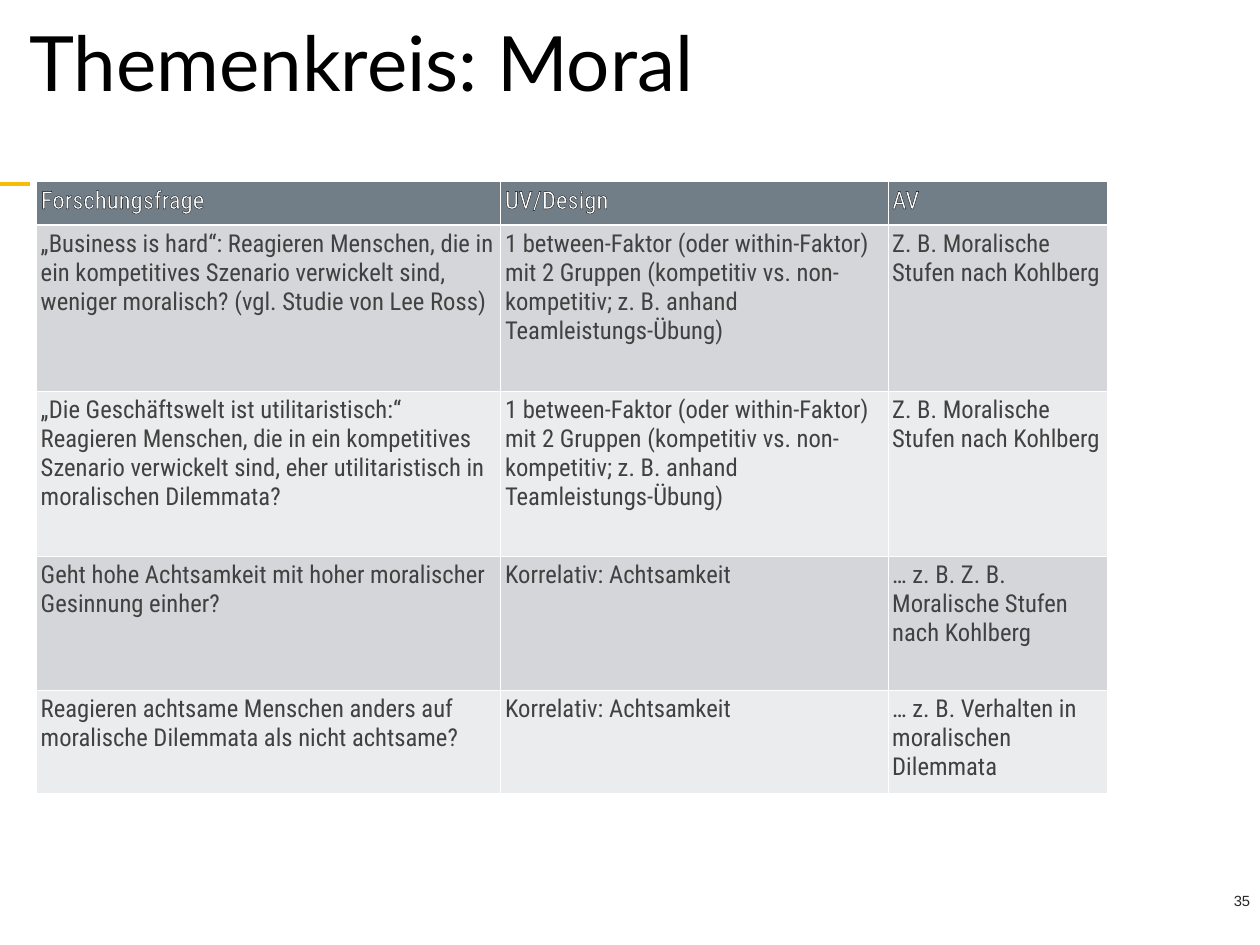
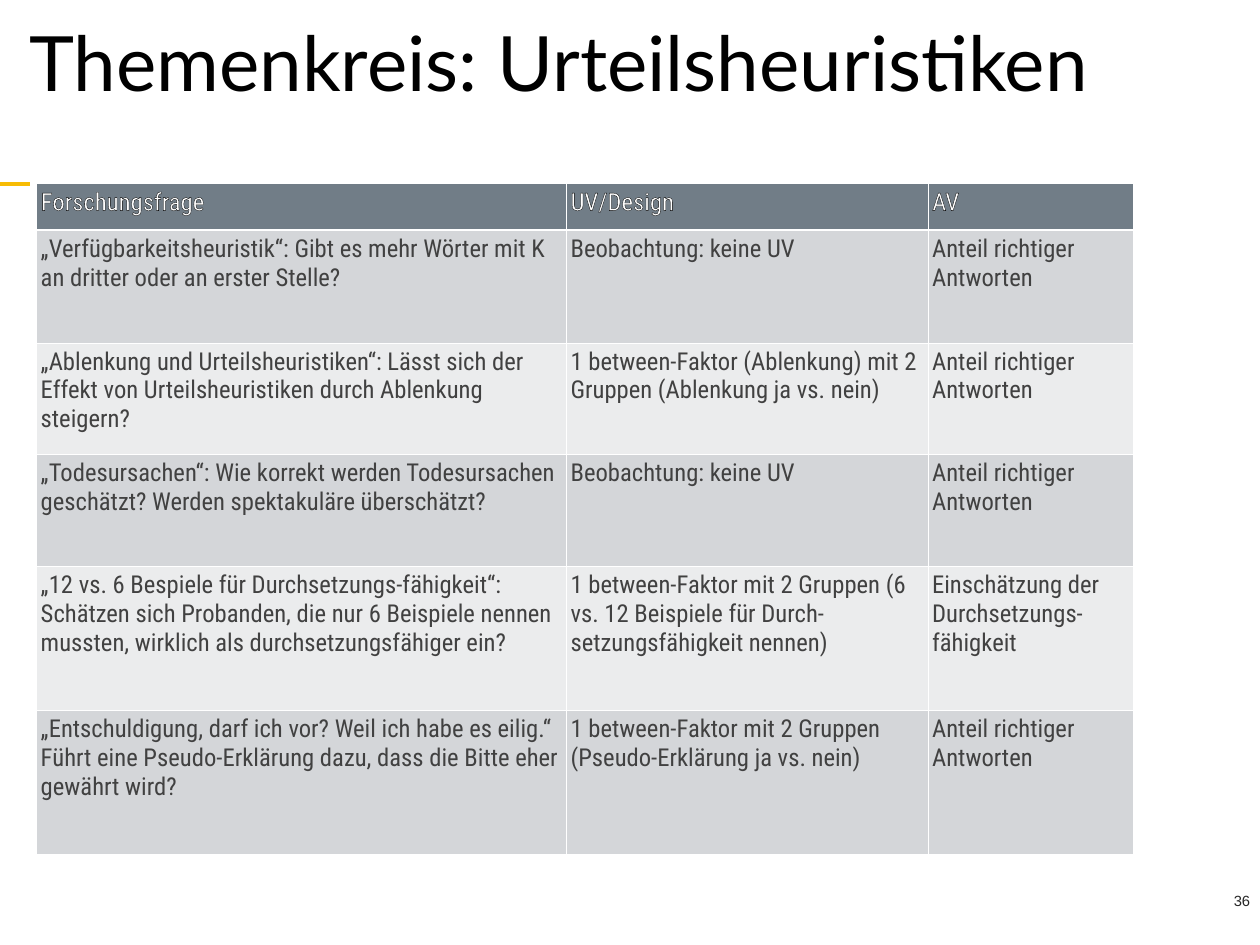
from lxml import etree
from pptx import Presentation
from pptx.dml.color import RGBColor
from pptx.enum.shapes import MSO_CONNECTOR
from pptx.enum.text import MSO_ANCHOR, MSO_AUTO_SIZE, PP_ALIGN
from pptx.oxml.ns import qn
from pptx.util import Inches, Pt

STRAIGHT = MSO_CONNECTOR.STRAIGHT
MIDDLE = MSO_ANCHOR.MIDDLE
NO_AUTOFIT = MSO_AUTO_SIZE.NONE
LEFT, RIGHT = PP_ALIGN.LEFT, PP_ALIGN.RIGHT

TITLE, ACCENT, NUMBER = "000000", "F7BC05", "262626"
HEADER_FILL, HEADER_TEXT, BODY_TEXT = "717D87", "FFFFFF", "414141"
BAND_FILLS = ["EBECED", "D4D6D9"]
BORDER, OUTLINE = "FFFFFF", "000000"
HEADER = ["Forschungsfrage", "UV/Design", "AV"]

COMPETITION = ("1 between-Faktor (oder within-Faktor) mit 2 Gruppen (kompetitiv vs. "
               "non-kompetitiv; z. B. anhand Teamleistungs-Übung)")
KOHLBERG = "Z. B. Moralische Stufen nach Kohlberg"
MINDFULNESS = "Korrelativ: Achtsamkeit"
OBSERVATION = "Beobachtung: keine UV"
CORRECT_SHARE = "Anteil richtiger Antworten"

TOPICS = [
    {
        "title": "Themenkreis: Moral",
        "number": "35",
        "top": 2.05,
        "columns": [5.24, 4.37, 2.48],
        "heights": [0.49, 1.88, 1.86, 1.51, 1.17],
        "rows": [
            ["„Business is hard“: Reagieren Menschen, die in ein kompetitives Szenario "
             "verwickelt sind, weniger moralisch? (vgl. Studie von Lee Ross)",
             COMPETITION, KOHLBERG],
            ["„Die Geschäftswelt ist utilitaristisch:“ Reagieren Menschen, die in ein "
             "kompetitives Szenario verwickelt sind, eher utilitaristisch in moralischen "
             "Dilemmata?",
             COMPETITION, KOHLBERG],
            ["Geht hohe Achtsamkeit mit hoher moralischer Gesinnung einher?",
             MINDFULNESS, "… z. B. " + KOHLBERG],
            ["Reagieren achtsame Menschen anders auf moralische Dilemmata als nicht achtsame?",
             MINDFULNESS, "… z. B. Verhalten in moralischen Dilemmata"],
        ],
    },
    {
        "title": "Themenkreis: Urteilsheuristiken",
        "number": "36",
        "top": 2.07,
        "columns": [5.98, 4.08, 2.32],
        "heights": [0.53, 1.27, 1.26, 1.26, 1.63, 1.63],
        "rows": [
            ["„Verfügbarkeitsheuristik“: Gibt es mehr Wörter mit K an dritter oder an "
             "erster Stelle?",
             OBSERVATION, CORRECT_SHARE],
            ["„Ablenkung und Urteilsheuristiken“: Lässt sich der Effekt von "
             "Urteilsheuristiken durch Ablenkung steigern?",
             "1 between-Faktor (Ablenkung) mit 2 Gruppen (Ablenkung ja vs. nein)",
             CORRECT_SHARE],
            ["„Todesursachen“: Wie korrekt werden Todesursachen geschätzt? Werden "
             "spektakuläre überschätzt?",
             OBSERVATION, CORRECT_SHARE],
            ["„12 vs. 6 Bespiele für Durchsetzungs-fähigkeit“: Schätzen sich Probanden, "
             "die nur 6 Beispiele nennen mussten, wirklich als durchsetzungsfähiger ein?",
             "1 between-Faktor mit 2 Gruppen (6 vs. 12 Beispiele für "
             "Durch-setzungsfähigkeit nennen)",
             "Einschätzung der Durchsetzungs-fähigkeit"],
            ["„Entschuldigung, darf ich vor? Weil ich habe es eilig.“ Führt eine "
             "Pseudo-Erklärung dazu, dass die Bitte eher gewährt wird?",
             "1 between-Faktor mit 2 Gruppen (Pseudo-Erklärung ja vs. nein)",
             CORRECT_SHARE],
        ],
    },
]


def color(value):
    return RGBColor.from_string(value)


def add_run(paragraph, text, font_name, size, text_color):
    run = paragraph.add_run()
    run.text = text
    run.font.name = font_name
    run.font.size = Pt(size)
    run.font.bold = False
    run.font.color.rgb = color(text_color)
    return run


presentation = Presentation()
presentation.slide_width = Inches(14.22)
presentation.slide_height = Inches(10.67)
title_only = presentation.slide_layouts[5]

for topic in TOPICS:
    slide = presentation.slides.add_slide(title_only)

    accent = slide.shapes.add_connector(STRAIGHT, 0, Inches(2.08), Inches(0.34), Inches(2.08))
    accent.line.color.rgb = color(ACCENT)
    accent.line.width = Pt(3)
    etree.SubElement(accent.element.spPr, qn("a:effectLst"))

    number = slide.shapes.add_textbox(Inches(11.81), Inches(10), Inches(2.37), Inches(0.33))
    title = slide.shapes.title
    title.left, title.top = 0, Inches(-0.02)
    title.width, title.height = Inches(14.22), Inches(1.55)
    for shape, inset in [(number, 0.07), (title, 0.05)]:
        frame = shape.text_frame
        frame.word_wrap = True
        frame.auto_size = NO_AUTOFIT
        frame.margin_left = frame.margin_right = Inches(inset)
        frame.margin_top = frame.margin_bottom = Inches(inset)

    paragraph = number.text_frame.paragraphs[0]
    paragraph.alignment = RIGHT
    add_run(paragraph, topic["number"], "Arial", 12, NUMBER)

    title.text_frame.vertical_anchor = MIDDLE
    paragraph = title.text_frame.paragraphs[0]
    paragraph.alignment = LEFT
    paragraph.line_spacing = 0.9
    properties = paragraph._p.get_or_add_pPr()
    for name in ("marL", "indent"):
        properties.set(name, str(Inches(0.14)))
    add_run(paragraph, topic["title"], "Lato", 62, TITLE)

    rows = [HEADER] + topic["rows"]
    table = slide.shapes.add_table(
        len(rows), len(HEADER), Inches(0.41), Inches(topic["top"]),
        Inches(sum(topic["columns"])), Inches(sum(topic["heights"]))).table
    table.horz_banding = False
    for column, width in zip(table.columns, topic["columns"]):
        column.width = Inches(width)
    for row, height in zip(table.rows, topic["heights"]):
        row.height = Inches(height)

    for row_index, texts in enumerate(rows):
        is_header = row_index == 0
        widths = {"L": 0.25, "R": 0.25,
                  "T": 2 if row_index == 1 else 0.25,
                  "B": 2 if is_header else 0.25}
        for column_index, text in enumerate(texts):
            cell = table.cell(row_index, column_index)
            cell.margin_left = cell.margin_right = Inches(0.05)
            cell.margin_top = cell.margin_bottom = Inches(0.05)
            cell_properties = cell._tc.get_or_add_tcPr()
            for side, width in widths.items():
                border = etree.SubElement(cell_properties, qn("a:ln" + side), w=str(Pt(width)))
                border_fill = etree.SubElement(border, qn("a:solidFill"))
                etree.SubElement(border_fill, qn("a:srgbClr"), val=BORDER)
            cell.fill.solid()
            cell.fill.fore_color.rgb = color(HEADER_FILL if is_header else BAND_FILLS[row_index % 2])

            run = add_run(cell.text_frame.paragraphs[0], text, "Roboto Condensed", 20,
                          HEADER_TEXT if is_header else BODY_TEXT)
            if is_header:
                outline = etree.Element(qn("a:ln"), w="0")
                outline_fill = etree.SubElement(outline, qn("a:solidFill"))
                etree.SubElement(outline_fill, qn("a:srgbClr"), val=OUTLINE)
                run.font._element.insert(0, outline)

presentation.save("out.pptx")
